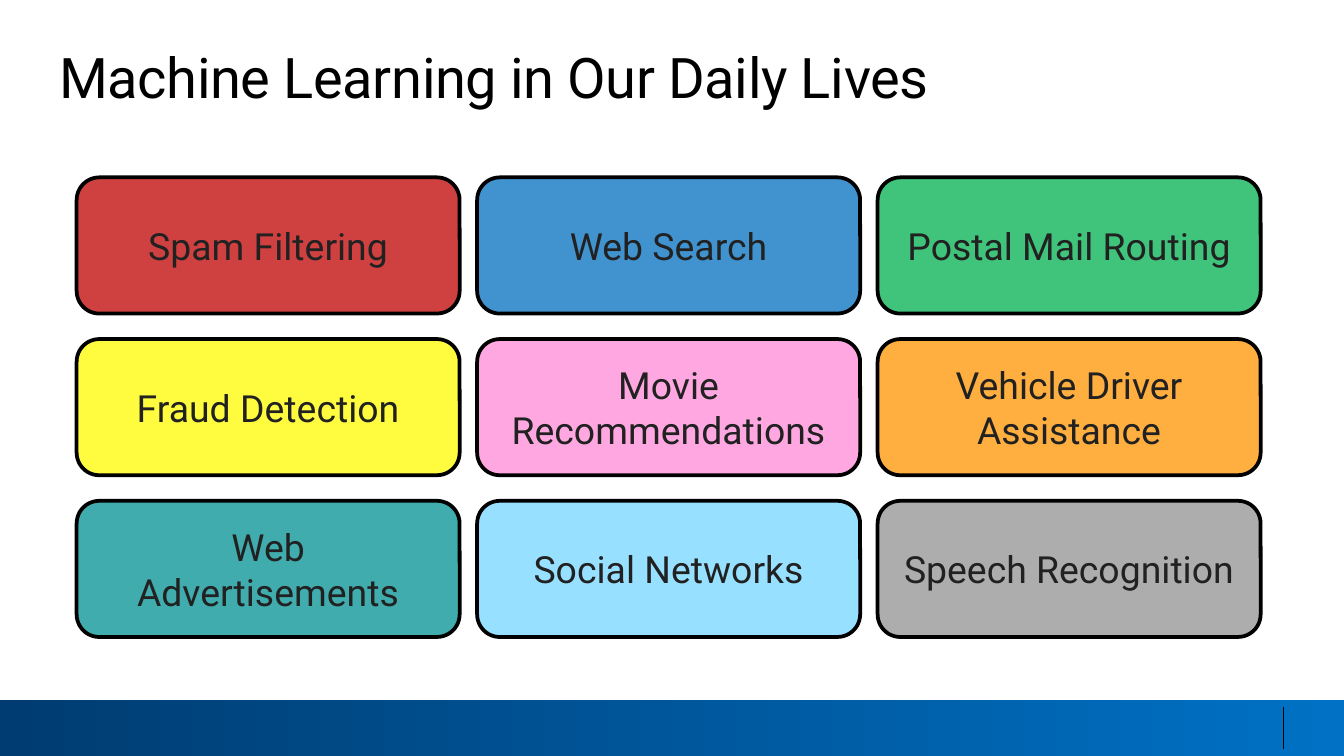
from dataclasses import dataclass

from lxml import etree
from pptx import Presentation
from pptx import util as u
from pptx.dml.color import RGBColor
from pptx.enum import shapes, text
from pptx.oxml import ns


@dataclass(frozen=True)
class Theme:
    font: str = "Roboto"
    title_size: float = 30
    card_size: float = 20
    black: str = "000000"
    card_text: str = "212121"
    footer_dark: str = "003C71"
    footer_light: str = "0071C5"
    card_opacity: int = 75
    card_border: float = 2
    divider_width: float = 0.75


THEME = Theme()
SLIDE_WIDTH = 10
SLIDE_HEIGHT = SLIDE_WIDTH * 9 / 16
COLUMNS = 3
APPLICATIONS = [
    ("Spam Filtering", "C00000"),
    ("Web Search", "0070C0"),
    ("Postal Mail Routing", "00B050"),
    ("Fraud Detection", "FFFC00"),
    ("Movie Recommendations", "FF8AD8"),
    ("Vehicle Driver Assistance", "FF9300"),
    ("Web Advertisements", "009193"),
    ("Social Networks", "76D6FF"),
    ("Speech Recognition", "929292"),
]


def rgb(value):
    return RGBColor.from_string(value)


def set_attributes(target, values):
    for name, value in values.items():
        setattr(target, name, value)


def write_text(shape, words, size, color, alignment, frame_format):
    frame = shape.text_frame
    set_attributes(frame, {"word_wrap": True, **frame_format})
    paragraph = frame.paragraphs[0]
    paragraph.alignment = alignment
    run = paragraph.add_run()
    run.text = words
    set_attributes(run.font, {"name": THEME.font, "size": u.Pt(size)})
    run.font.color.rgb = rgb(color)
    return run


def add_title(slide, box, words):
    shape = slide.shapes.add_textbox(*map(u.Inches, box))
    margins = ("margin_left", "margin_top", "margin_right", "margin_bottom")
    frame_format = {**dict.fromkeys(margins, 0),
                    "vertical_anchor": text.MSO_ANCHOR.TOP}
    run = write_text(shape, words, THEME.title_size, THEME.black,
                     text.PP_ALIGN.LEFT, frame_format)
    run.font._element.set("spc", "-20")


def add_card(slide, box, words, color):
    """Add a rounded, translucent card with centred text."""
    card = slide.shapes.add_shape(
        shapes.MSO_SHAPE.ROUNDED_RECTANGLE, *map(u.Inches, box))
    card.shadow.inherit = False
    card.fill.solid()
    card.fill.fore_color.rgb = rgb(color)
    fill_color = card._element.spPr.find(".//" + ns.qn("a:srgbClr"))
    etree.SubElement(fill_color, ns.qn("a:alpha"),
                     val=str(THEME.card_opacity * 1000))
    card.line.color.rgb = rgb(THEME.black)
    card.line.width = u.Pt(THEME.card_border)
    write_text(card, words, THEME.card_size, THEME.card_text,
               text.PP_ALIGN.CENTER,
               {"vertical_anchor": text.MSO_ANCHOR.MIDDLE})


def add_card_grid(slide, box, applications, gap_x=0.13, gap_y=0.19):
    left, top, width, height = box
    rows = -(-len(applications) // COLUMNS)
    card_width = (width - gap_x * (COLUMNS - 1)) / COLUMNS
    card_height = (height - gap_y * (rows - 1)) / rows
    for index, (words, color) in enumerate(applications):
        row, column = divmod(index, COLUMNS)
        card_box = (left + column * (card_width + gap_x),
                    top + row * (card_height + gap_y),
                    card_width, card_height)
        add_card(slide, card_box, words, color)


def add_footer(slide, box):
    """Add the gradient band and the divider near its right end."""
    left, top, width, height = box
    band = slide.shapes.add_shape(
        shapes.MSO_SHAPE.RECTANGLE, *map(u.Inches, box))
    band.shadow.inherit = False
    band.fill.gradient()
    band.fill.gradient_angle = 0
    colors = (THEME.footer_dark, THEME.footer_light)
    for stop, color in zip(band.fill.gradient_stops, colors):
        stop.color.rgb = rgb(color)
    band.line.fill.background()

    x = left + width - 0.45
    ends = (x, top + 0.05, x, top + height - 0.05)
    divider = slide.shapes.add_connector(
        shapes.MSO_CONNECTOR.STRAIGHT, *map(u.Inches, ends))
    divider.line.color.rgb = rgb(THEME.black)
    divider.line.width = u.Pt(THEME.divider_width)
    etree.SubElement(divider._element.spPr, ns.qn("a:effectLst"))


def main():
    presentation = Presentation()
    set_attributes(presentation, {"slide_width": u.Inches(SLIDE_WIDTH),
                                  "slide_height": u.Inches(SLIDE_HEIGHT)})
    slide = presentation.slides.add_slide(presentation.slide_layouts[6])
    footer_top = 5.21
    add_footer(slide, (0, footer_top, SLIDE_WIDTH, SLIDE_HEIGHT - footer_top))
    add_card_grid(slide, (0.57, 1.32, 8.81, 3.42), APPLICATIONS)
    add_title(slide, (0.44, 0.32, 9.23, 0.5),
              "Machine Learning in Our Daily Lives")
    presentation.save("out.pptx")


if __name__ == "__main__":
    main()
